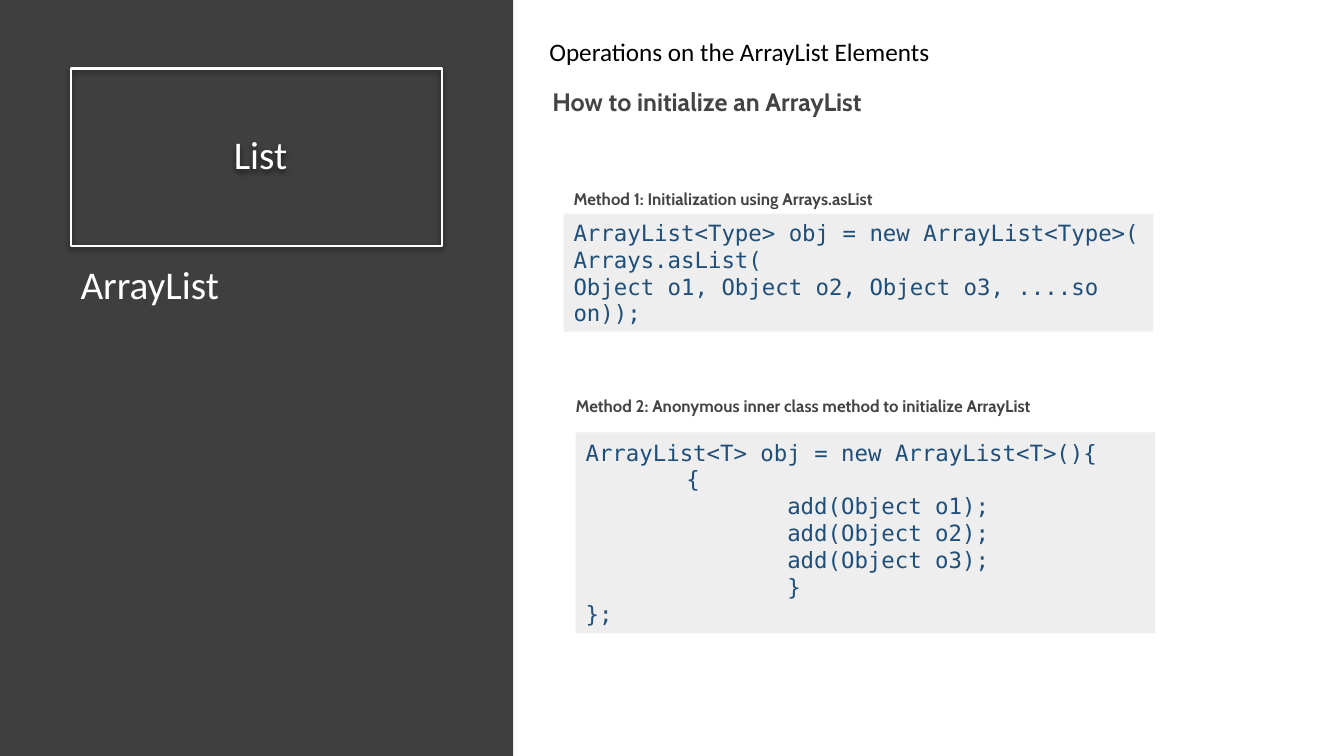
from pptx import Presentation
from pptx.dml.color import RGBColor
from pptx.enum.shapes import MSO_SHAPE
from pptx.enum.text import MSO_ANCHOR, MSO_AUTO_SIZE, PP_ALIGN
from pptx.oxml import parse_xml
from pptx.util import Inches, Pt

COLORS = {
    "panel": "3F3F3F",
    "white": "FFFFFF",
    "black": "000000",
    "heading": "444542",
    "code": "1F4E79",
    "code_fill": "EEEEEE",
}

TITLE = (" List", (0.7, 0.68, 3.68, 1.76))
PANEL = (0, 0, 5.09, 7.5)

LABELS = [
    ("ArrayList", (0.7, 2.59, 3.68, 4.77), "Calibri", 28, "white", False),
    ("Operations on the ArrayList Elements", (5.35, 0.31, 7.89, 0.4), "Calibri", 18, "black", False),
    ("How to initialize an ArrayList", (5.38, 0.81, 3.64, 0.4), "Cabin", 18, "heading", True),
    ("Method 1: Initialization using Arrays.asList", (5.59, 1.82, 3.62, 0.3), "Cabin", 12, "heading", True),
    ("Method 2: Anonymous inner class method to initialize ArrayList", (5.61, 3.88, 6.67, 0.3), "Cabin", 12, "heading", True),
]

CODE_BLOCKS = [
    ((5.59, 2.12, 5.85, 1.17), [
        "ArrayList<Type> obj = new ArrayList<Type>(",
        "Arrays.asList(",
        "Object o1, Object o2, Object o3, ....so on));",
    ]),
    ((5.71, 4.29, 5.75, 1.99), [
        "ArrayList<T> obj = new ArrayList<T>(){",
        "\t{",
        "\t\tadd(Object o1);",
        "\t\tadd(Object o2);",
        "\t\tadd(Object o3);",
        "\t\t}",
        "};",
    ]),
]

SHADOW = (
    '<a:effectLst xmlns:a="http://schemas.openxmlformats.org/drawingml/2006/main">'
    '<a:outerShdw blurRad="57150" dist="19050" dir="5400000" algn="ctr" rotWithShape="0">'
    '<a:srgbClr val="000000"><a:alpha val="63000"/></a:srgbClr>'
    '</a:outerShdw></a:effectLst>'
)


def rgb(name):
    return RGBColor.from_string(COLORS[name])


def box(area):
    return [Inches(length) for length in area]


def write(shape, lines, font, size, color, bold=False,
          align=PP_ALIGN.LEFT, anchor=MSO_ANCHOR.TOP):
    frame = shape.text_frame
    frame.word_wrap = True
    frame.auto_size = MSO_AUTO_SIZE.NONE
    frame.vertical_anchor = anchor
    for index, line in enumerate(lines):
        paragraph = frame.add_paragraph() if index else frame.paragraphs[0]
        paragraph.alignment = align
        paragraph._p.get_or_add_pPr().set("defTabSz", str(Inches(1)))
        if size == 28:
            paragraph.line_spacing = 0.9
        run = paragraph.add_run()
        run.text = line
        run.font.name = font
        run.font.size = Pt(size)
        run.font.bold = bold
        run.font.color.rgb = rgb(color)


def add_block(slide, area, fill):
    block = slide.shapes.add_shape(MSO_SHAPE.RECTANGLE, *box(area))
    block.shadow.inherit = False
    block.fill.solid()
    block.fill.fore_color.rgb = rgb(fill)
    block.line.fill.background()
    return block


def main():
    deck = Presentation()
    deck.slide_width, deck.slide_height = Inches(13.33), Inches(7.5)
    slide = deck.slides.add_slide(deck.slide_layouts[5])

    panel = add_block(slide, PANEL, "panel")
    title_text, title_area = TITLE
    title = slide.shapes.title
    title._element.addprevious(panel._element)
    title.left, title.top, title.width, title.height = box(title_area)
    title.fill.background()
    title.line.color.rgb = rgb("white")
    title.line.width = Pt(1.5)
    title._element.spPr.append(parse_xml(SHADOW))
    write(title, [title_text], "Calibri", 28, "white",
          align=PP_ALIGN.CENTER, anchor=MSO_ANCHOR.MIDDLE)

    for text, area, font, size, color, bold in LABELS:
        label = slide.shapes.add_textbox(*box(area))
        write(label, [text], font, size, color, bold)

    for area, lines in CODE_BLOCKS:
        block = add_block(slide, area, "code_fill")
        write(block, lines, "DejaVu Sans Mono", 16, "code", anchor=MSO_ANCHOR.MIDDLE)

    deck.save("out.pptx")


if __name__ == "__main__":
    main()
